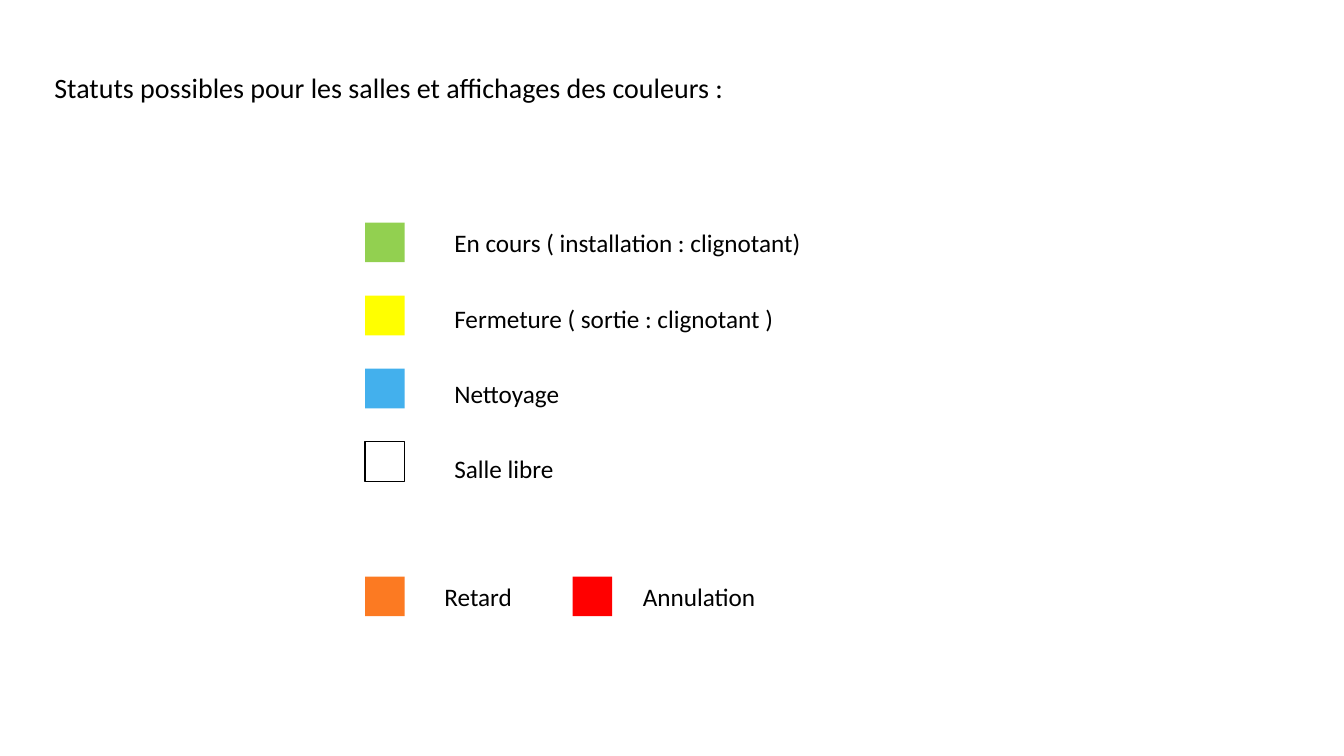
import pptx
import pptx.dml.color
import pptx.enum.shapes
import pptx.enum.text
import pptx.util
from dataclasses import dataclass
from lxml import etree

Cm = pptx.util.Cm
Pt = pptx.util.Pt
RGB = pptx.dml.color.RGBColor.from_string


@dataclass(frozen=True)
class Theme:
    font: str = "Calibri"
    title_size: int = 20
    label_size: int = 18
    ink: str = "000000"
    running: str = "92D050"
    closing: str = "FFFF00"
    cleaning: str = "43B0ED"
    free: str = "FFFFFF"
    late: str = "FC7A22"
    cancelled: str = "FF0000"


theme = Theme()

prs = pptx.Presentation()
prs.slide_width, prs.slide_height = Cm(33.87), Cm(19.05)
s = prs.slides.add_slide(prs.slide_layouts[6])


def add_text(text, left, top, width, height=1.02, size=theme.label_size, tab=None):
    """Add a one-line label; tab is the distance of a tab stop in cm."""
    sp = s.shapes.add_textbox(Cm(left), Cm(top), Cm(width), Cm(height))
    tf = sp.text_frame
    tf.word_wrap = True
    tf.auto_size = pptx.enum.text.MSO_AUTO_SIZE.SHAPE_TO_FIT_TEXT
    p = tf.paragraphs[0]
    r = p.add_run()
    r.text = text
    r.font.name = theme.font
    r.font.size = Pt(size)
    r.font.color.rgb = RGB(theme.ink)
    if tab:
        ns = "{http://schemas.openxmlformats.org/drawingml/2006/main}"
        tabs = etree.SubElement(p._p.get_or_add_pPr(), ns + "tabLst")
        etree.SubElement(tabs, ns + "tab", pos=str(int(Cm(tab))), algn="l")


def add_swatch(color, left, top, outlined=False):
    sp = s.shapes.add_shape(pptx.enum.shapes.MSO_SHAPE.RECTANGLE,
                            Cm(left), Cm(top), Cm(1), Cm(1))
    sp.shadow.inherit = False
    sp.fill.solid()
    sp.fill.fore_color.rgb = RGB(color)
    if outlined:
        sp.line.color.rgb = RGB(theme.ink)
        sp.line.width = Pt(1)
    else:
        sp.line.fill.background()


add_text("Statuts possibles pour les salles et affichages des couleurs :",
         1.12, 1.65, 20.96, height=1.11, size=theme.title_size)

# Room statuses, one per row
swatch_left, first_top = 9.2, 5.61
swatch_step, label_step = 1.84, 1.9
statuses = [
    ("En cours ( installation : clignotant)", theme.running, 11.2),
    ("Fermeture ( sortie : clignotant )", theme.closing, 9.83),
    ("Nettoyage", theme.cleaning, 6.22),
    ("Salle libre", theme.free, 6.22),
]
for i, (label, color, width) in enumerate(statuses):
    add_swatch(color, swatch_left, first_top + i * swatch_step,
               outlined=color == theme.free)
    add_text(label, 11.2, first_top + i * label_step, width)

# Exceptions share the last row
exception_top = 14.53
add_swatch(theme.late, swatch_left, exception_top)
add_swatch(theme.cancelled, 14.43, exception_top)
add_text("Retard\tAnnulation", 10.95, exception_top, 10.82, tab=5)

prs.save("out.pptx")
